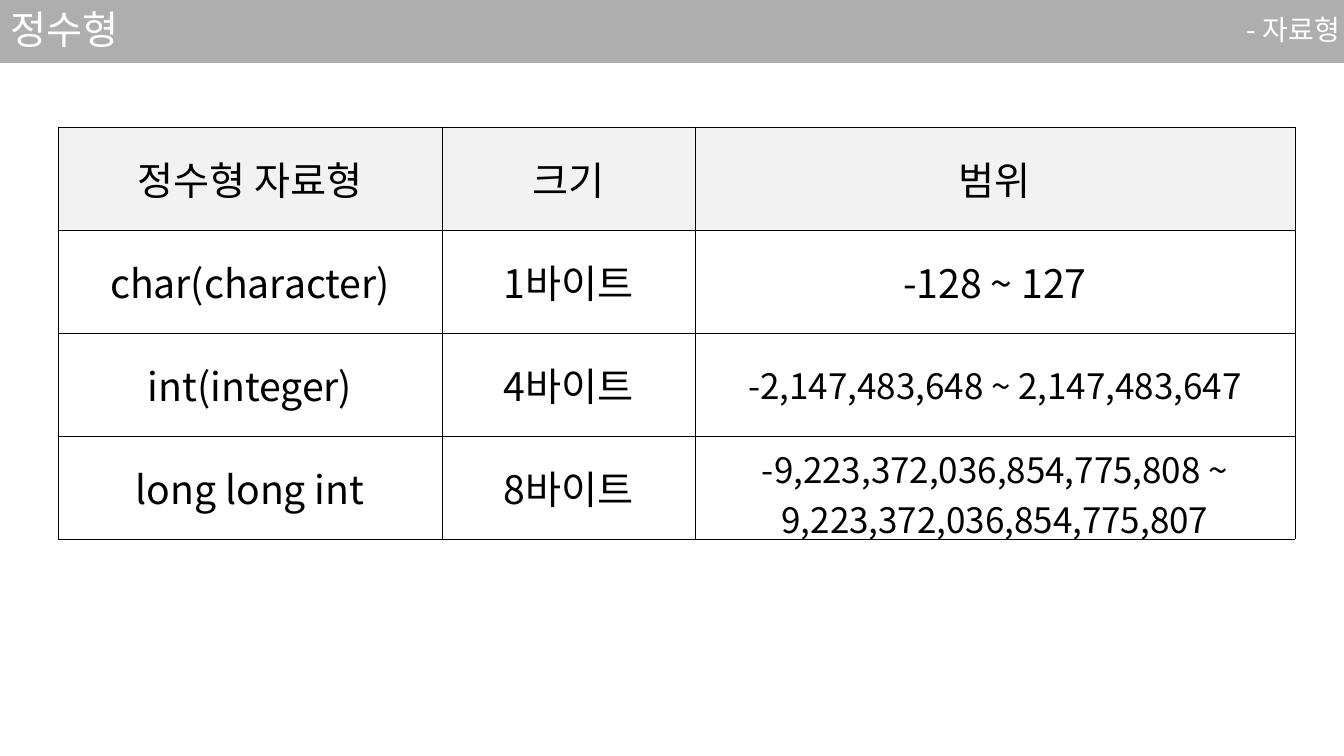
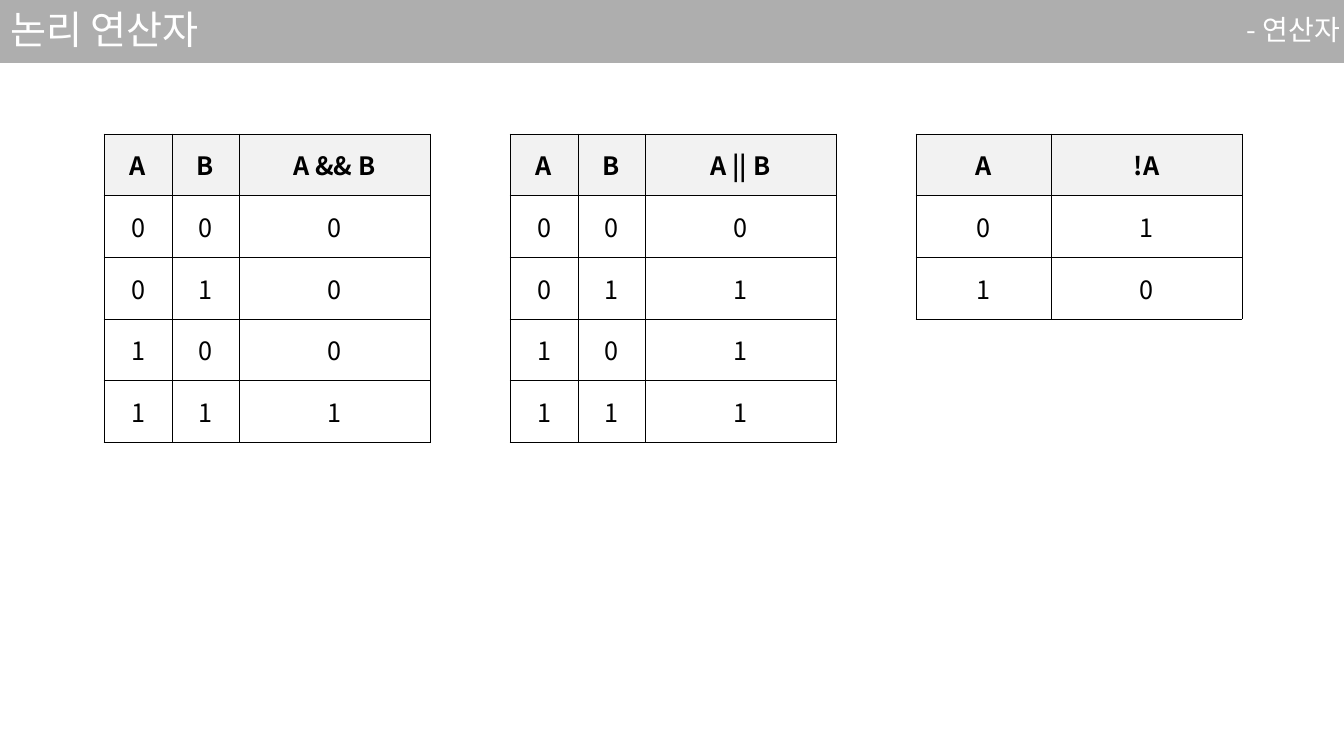
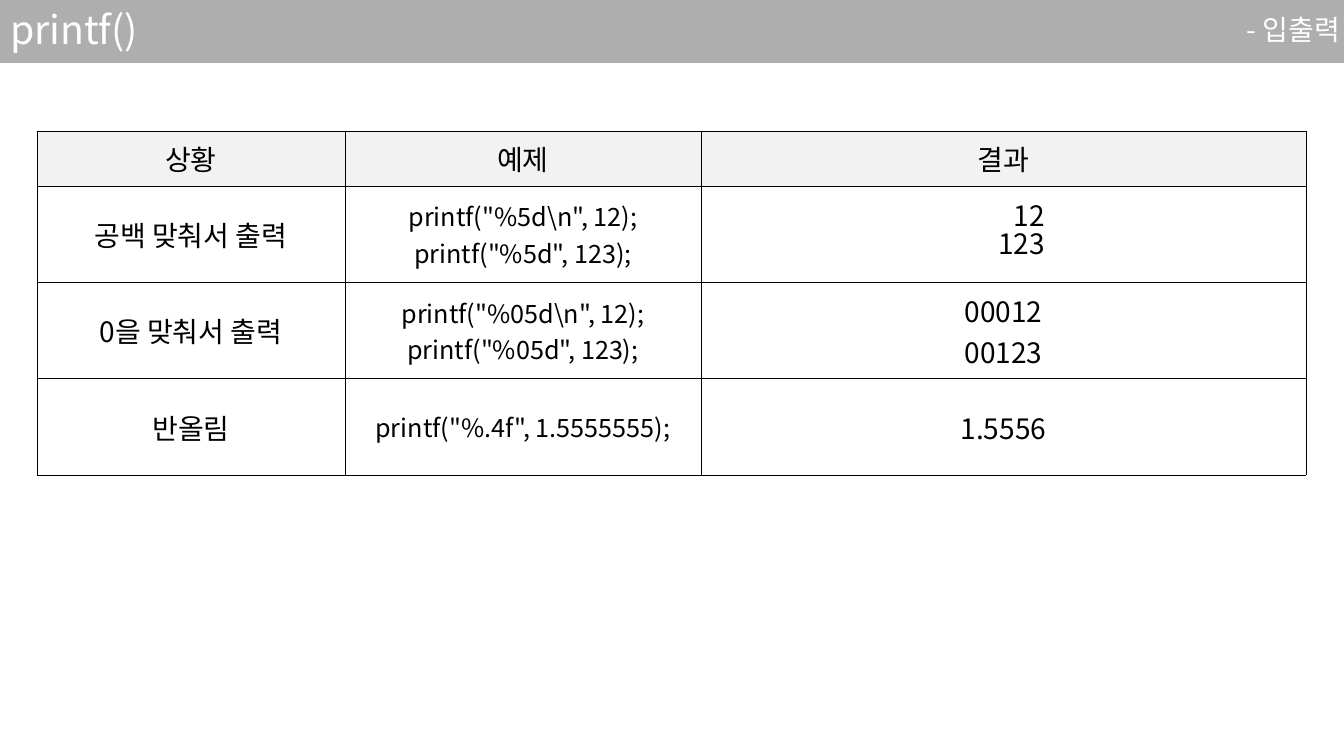
from collections import namedtuple
from dataclasses import dataclass

from lxml.etree import SubElement
from pptx import Presentation
from pptx.dml.color import RGBColor
from pptx.enum.shapes import MSO_SHAPE as Shape
from pptx.enum.text import MSO_ANCHOR as Anchor, MSO_AUTO_SIZE as AutoSize, PP_ALIGN as Align
from pptx.oxml import parse_xml
from pptx.oxml.ns import nsdecls, qn
from pptx.util import Emu, Pt

SCALE = 12192000 / 1344
Box = namedtuple("Box", "x y w h")


@dataclass(frozen=True)
class Theme:
    font: str = "Noto Sans CJK KR"
    ink: str = "000000"
    paper: str = "FFFFFF"
    band: str = "181717"
    band_alpha: int = 35000
    head: str = "F2F2F2"
    border: float = 0.5
    title: int = 28
    large: int = 28
    wide: int = 25
    medium: int = 20
    small: int = 18


THEME = Theme()
SLIDE = Box(0, 0, 1344, 756)
BAND = Box(0, 0, 1344, 63)


def px(n):
    return Emu(round(n * SCALE))


def place(box):
    return [px(n) for n in box]


def write(tf, lines, size, color=THEME.ink, align=Align.CENTER, bold=False,
          spacing=None, before=None):
    for i, line in enumerate(lines):
        p = tf.paragraphs[0] if i == 0 else tf.add_paragraph()
        p.alignment = align
        p.line_spacing = spacing
        p.space_before = before
        r = p.add_run()
        r.text = line
        r.font.size = Pt(size)
        r.font.bold = bold
        r.font.name = THEME.font
        r.font.color.rgb = RGBColor.from_string(color)
        SubElement(r.font._element, qn("a:ea"), typeface=THEME.font)


def add_band(s, layout):
    sp = s.shapes.add_shape(Shape.RECTANGLE, *place(BAND))
    sp.shadow.inherit = False
    sp.line.fill.background()
    sp.fill.solid()
    sp.fill.fore_color.rgb = RGBColor.from_string(THEME.band)
    color = sp.element.spPr.find(qn("a:solidFill"))[0]
    SubElement(color, qn("a:alpha"), val=str(THEME.band_alpha))
    layout.shapes.element.insert(2, sp.element)


def add_header(s, box, title, section):
    heading = s.shapes.title
    heading.left, heading.top, heading.width, heading.height = place(
        Box(box.x, box.y + 5, 741, 53))
    label = s.shapes.add_textbox(*place(Box(box.x + 803, box.y + 11, 547, 41)))
    for sp in (heading, label):
        tf = sp.text_frame
        tf.word_wrap = True
        tf.auto_size = AutoSize.SHAPE_TO_FIT_TEXT
        tf.vertical_anchor = Anchor.MIDDLE
    write(heading.text_frame, [title], THEME.title, THEME.paper, Align.LEFT, spacing=0.9)
    write(label.text_frame, [section], THEME.medium, THEME.paper, Align.RIGHT,
          spacing=0.9, before=Pt(10))


def style_cell(cell, fill, inset):
    cell.vertical_anchor = Anchor.MIDDLE
    cell.margin_left = cell.margin_right = px(inset * 2)
    cell.margin_top = cell.margin_bottom = px(inset)
    cell.fill.solid()
    cell.fill.fore_color.rgb = RGBColor.from_string(fill)
    tc_pr = cell._tc.get_or_add_tcPr()
    for i, side in enumerate("LRTB"):
        tc_pr.insert(i, parse_xml(
            f'<a:ln{side} {nsdecls("a")} w="{Pt(THEME.border)}"><a:solidFill>'
            f'<a:srgbClr val="{THEME.ink}"/></a:solidFill></a:ln{side}>'))


def add_grid(s, box, cols, rows, size, inset, head_h=None, head_bold=False, sizes=None):
    table = s.shapes.add_table(len(rows), len(cols), *place(box)).table
    table.first_row = table.horz_banding = False
    for column, w in zip(table.columns, cols):
        column.width = px(w)
    head_h = head_h or box.h / len(rows)
    body_h = (box.h - head_h) / (len(rows) - 1)
    for i, row in enumerate(rows):
        table.rows[i].height = px(body_h if i else head_h)
        for j, value in enumerate(row):
            cell = table.cell(i, j)
            style_cell(cell, THEME.paper if i else THEME.head, inset)
            lines = [value] if isinstance(value, str) else value
            write(cell.text_frame, lines, (sizes or {}).get((i, j), size),
                  bold=head_bold and i == 0)


def integer_types(s, box):
    rows = [
        ("정수형 자료형", "크기", "범위"),
        ("char(character)", "1바이트", "-128 ~ 127"),
        ("int(integer)", "4바이트", "-2,147,483,648 ~ 2,147,483,647"),
        ("long long int", "8바이트",
         "-9,223,372,036,854,775,808 ~ 9,223,372,036,854,775,807"),
    ]
    add_grid(s, Box(box.x + 58, box.y + 127, 1237, 412), (384, 253, 600), rows,
             THEME.large, 7, sizes={(2, 2): THEME.wide, (3, 2): THEME.wide})


def logical_operators(s, box):
    pairs = [(a, b) for a in (0, 1) for b in (0, 1)]
    truth_tables = [
        ((68, 67, 191), [("A", "B", "A && B")] + [(a, b, a & b) for a, b in pairs]),
        ((68, 67, 191), [("A", "B", "A || B")] + [(a, b, a | b) for a, b in pairs]),
        ((135, 191), [("A", "!A")] + [(a, 1 - a) for a in (0, 1)]),
    ]
    for i, (cols, values) in enumerate(truth_tables):
        rows = [[str(v) for v in row] for row in values]
        grid = Box(box.x + 104 + 406 * i, box.y + 134, sum(cols), 61.7 * len(rows))
        add_grid(s, grid, cols, rows, THEME.small, 5, head_bold=True)


def printf_formats(s, box):
    rows = [
        ("상황", "예제", "결과"),
        ("공백 맞춰서 출력", [r'printf("%5d\n", 12);', 'printf("%5d", 123);'], []),
        ("0을 맞춰서 출력", [r'printf("%05d\n", 12);', 'printf("%05d", 123);'],
         ["00012", "00123"]),
        ("반올림", 'printf("%.4f", 1.5555555);', "1.5556"),
    ]
    add_grid(s, Box(box.x + 37, box.y + 131, 1269, 344), (308, 356, 605), rows,
             THEME.medium, 6, head_h=55, sizes={(i, 1): THEME.small for i in (1, 2, 3)})
    padded = s.shapes.add_textbox(*place(Box(box.x + 963, box.y + 194, 92, 77)))
    tf = padded.text_frame
    tf.word_wrap = True
    tf.vertical_anchor = Anchor.MIDDLE
    write(tf, ["12", "123"], THEME.medium, align=Align.RIGHT, spacing=0.83)


def main():
    prs = Presentation()
    prs.slide_width, prs.slide_height = px(SLIDE.w), px(SLIDE.h)
    layout = prs.slide_layouts[5]
    pages = [
        ("정수형", "- 자료형", integer_types),
        ("논리 연산자", "- 연산자", logical_operators),
        ("printf()", "- 입출력", printf_formats),
    ]
    for i, (title, section, build) in enumerate(pages):
        s = prs.slides.add_slide(layout)
        if i == 0:
            add_band(s, layout)
        add_header(s, BAND, title, section)
        build(s, SLIDE)
    prs.save("out.pptx")


main()
